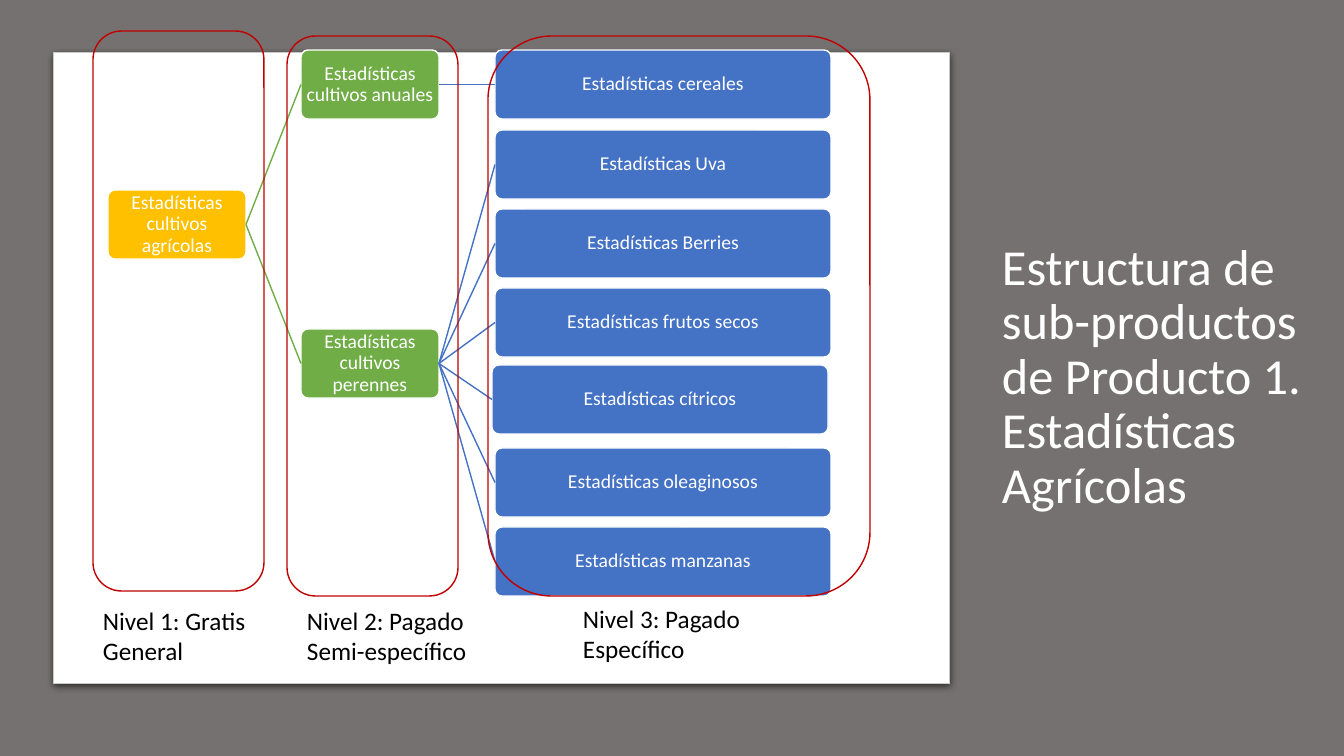
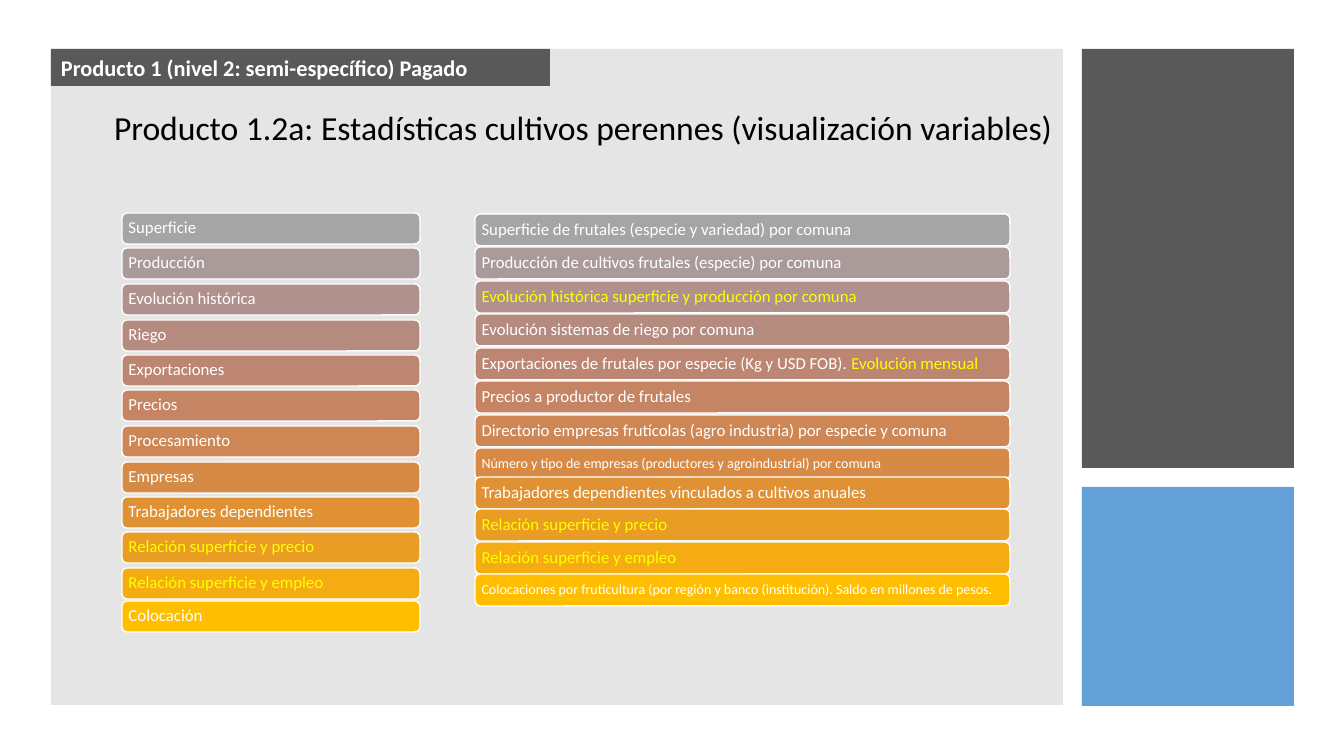
from colorsys import hls_to_rgb
from dataclasses import dataclass
from typing import NamedTuple, Optional

from lxml.etree import SubElement
from pptx import Presentation
from pptx.dml.color import RGBColor
from pptx.enum.shapes import MSO_CONNECTOR, MSO_SHAPE
from pptx.enum.text import MSO_ANCHOR as Anchor, MSO_AUTO_SIZE, PP_ALIGN as Align
from pptx.oxml import parse_xml
from pptx.oxml.ns import nsdecls, qn
from pptx.util import Emu, Pt

EMU_PER_PX = 914400 / 100.8
RIGHT, LEFT = 3, 1  # connection sites


@dataclass(frozen=True)
class Theme:
    font: str = "Calibri"
    white: str = "FFFFFF"
    black: str = "000000"
    backdrop: str = "767171"
    card_edge: str = "C8CACA"
    level1: str = "FFC000"
    level2: str = "70AD47"
    level3: str = "4472C4"
    frame: str = "C00000"
    panel: str = "808080"
    dark: str = "595959"
    blue: str = "5B9BD5"
    highlight: str = "FFFF00"
    title_size: int = 36
    heading_size: int = 24
    caption_size: int = 18
    band_size: int = 16
    node_size: int = 14
    row_size: int = 12
    small_size: int = 10


THEME = Theme()


class Box(NamedTuple):
    x: int
    y: int
    w: int
    h: int


class Level(NamedTuple):
    frame: Box
    caption: Box
    lines: tuple[str, str]


class Row(NamedTuple):
    plain: str = ""
    highlighted: str = ""
    size: int = THEME.row_size


class Column(NamedTuple):
    x: int
    w: int
    h: int
    tops: list[int]
    rows: list[Row]


def px(length: int) -> Emu:
    return Emu(round(length * EMU_PER_PX))


def emu_box(box: Box) -> tuple[Emu, ...]:
    return tuple(px(length) for length in box)


def rgb(color: str) -> RGBColor:
    return RGBColor.from_string(color)


def evenly(first: int, last: int, count: int) -> list[int]:
    return [round(first + (last - first) * i / (count - 1)) for i in range(count)]


def add_block(slide, box: Box, fill: Optional[str], line: Optional[str] = None,
              corner: Optional[float] = None, rounded: bool = True,
              width: float = 1, alpha: int = 100):
    kind = MSO_SHAPE.ROUNDED_RECTANGLE if rounded else MSO_SHAPE.RECTANGLE
    block = slide.shapes.add_shape(kind, *emu_box(box))
    block.shadow.inherit = False
    if corner is not None:
        block.adjustments[0] = corner
    if fill:
        block.fill.solid()
        block.fill.fore_color.rgb = rgb(fill)
        if alpha < 100:
            tint = block.element.spPr.find(f"{qn('a:solidFill')}/{qn('a:srgbClr')}")
            SubElement(tint, qn("a:alpha")).set("val", str(alpha * 1000))
    else:
        block.fill.background()
    if line:
        block.line.color.rgb = rgb(line)
        block.line.width = Pt(width)
    else:
        block.line.fill.background()
    return block


def set_frame(frame, anchor, inset: tuple[int, int] = (10, 5)) -> None:
    frame.word_wrap = True
    frame.auto_size = MSO_AUTO_SIZE.NONE
    frame.vertical_anchor = anchor
    frame.margin_left = frame.margin_right = px(inset[0])
    frame.margin_top = frame.margin_bottom = px(inset[1])


def style(paragraph, size: int, color: str, align=Align.LEFT,
          spacing: float = 1.0, bold: bool = False) -> None:
    paragraph.alignment = align
    paragraph.line_spacing = spacing
    for run in paragraph.runs:
        run.font.name = THEME.font
        run.font.size = Pt(size)
        run.font.bold = bold
        run.font.color.rgb = rgb(color)


def set_title(slide, text: str, box: Box, size: int, color: str, anchor, spacing: float) -> None:
    title = slide.shapes.title
    title.left, title.top, title.width, title.height = emu_box(box)
    title.text_frame.text = text
    set_frame(title.text_frame, anchor)
    style(title.text_frame.paragraphs[0], size, color, spacing=spacing)
    slide.shapes.element.append(title.element)  # bring to front


def add_node(slide, text: str, box: Box, fill: str):
    node = add_block(slide, box, fill, THEME.white, corner=0.1)
    node.text_frame.text = text
    set_frame(node.text_frame, Anchor.MIDDLE, (1, 1))
    style(node.text_frame.paragraphs[0], THEME.node_size, THEME.white, Align.CENTER, 0.9)
    return node


def link(slide, parent, child, color: str) -> None:
    branch = slide.shapes.add_connector(MSO_CONNECTOR.STRAIGHT, 0, 0, 0, 0)
    branch.begin_connect(parent, RIGHT)
    branch.end_connect(child, LEFT)
    branch.line.color.rgb = rgb(color)
    branch.line.width = Pt(1)
    SubElement(branch.element.spPr, qn("a:effectLst"))


def add_level(slide, level: Level) -> None:
    add_block(slide, level.frame, None, THEME.frame)
    caption = slide.shapes.add_textbox(*emu_box(level.caption)).text_frame
    caption.text = "\n".join(level.lines)
    set_frame(caption, Anchor.TOP)
    for paragraph in caption.paragraphs:
        style(paragraph, THEME.caption_size, THEME.black)


def add_card(slide, box: Box) -> None:
    card = add_block(slide, box, THEME.white, THEME.card_edge, corner=0, width=0.75)
    effects = card.element.spPr.find(qn("a:effectLst"))
    effects.append(parse_xml(
        f'<a:outerShdw {nsdecls("a")} blurRad="57150" dist="19050" dir="5400000">'
        f'<a:srgbClr val="{THEME.black}"><a:alpha val="63000"/></a:srgbClr></a:outerShdw>'))


def ramp_color(step: int, last: int) -> str:
    """Grey to amber, by even steps of hue, lightness and saturation."""
    t = step / last
    channels = hls_to_rgb(t * 45 / 360, 0.647 - 0.147 * t, t)
    return "".join(f"{round(c * 255):02X}" for c in channels)


def add_column(slide, column: Column) -> None:
    last = len(column.rows) - 1
    for i, (top, row) in enumerate(zip(column.tops, column.rows)):
        bar = add_block(slide, Box(column.x, top, column.w, column.h),
                        ramp_color(i, last), THEME.white)
        set_frame(bar.text_frame, Anchor.MIDDLE, (5, 4))
        paragraph = bar.text_frame.paragraphs[0]
        paragraph.text = row.plain or row.highlighted
        style(paragraph, row.size, THEME.white if row.plain else THEME.highlight, spacing=0.9)
        if row.plain and row.highlighted:
            tail = paragraph.add_run()
            tail.text = row.highlighted
            style(paragraph, row.size, THEME.white, spacing=0.9)
            tail.font.color.rgb = rgb(THEME.highlight)


# Content of the product tree
ANNUAL_CROPS = ["Estadísticas cereales"]
PERENNIAL_CROPS = ["Estadísticas Uva", "Estadísticas Berries", "Estadísticas frutos secos",
                   "Estadísticas cítricos", "Estadísticas oleaginosos",
                   "Estadísticas manzanas"]
CITRUS = "Estadísticas cítricos"
LEVELS = [
    Level(Box(93, 31, 171, 560), Box(93, 600, 171, 72), ("Nivel 1: Gratis", "General")),
    Level(Box(287, 36, 171, 560), Box(297, 600, 190, 72), ("Nivel 2: Pagado", "Semi-específico")),
    Level(Box(488, 36, 382, 560), Box(573, 598, 190, 72), ("Nivel 3: Pagado", "Específico")),
]

# Content of the variable lists
PRICE = Row(highlighted="Relación superficie y precio")
JOBS = Row(highlighted="Relación superficie y empleo")
VARIABLES = Column(122, 298, 31, evenly(213, 568, 11) + [601], [
    Row("Superficie"), Row("Producción"), Row("Evolución histórica"), Row("Riego"),
    Row("Exportaciones"), Row("Precios"), Row("Procesamiento"), Row("Empresas"),
    Row("Trabajadores dependientes"), PRICE, JOBS, Row("Colocación"),
])
DETAILS = Column(475, 535, 32, evenly(214, 448, 8) + evenly(477, 574, 4), [
    Row("Superficie de frutales (especie y variedad) por comuna"),
    Row("Producción de cultivos frutales (especie) por comuna"),
    Row(highlighted="Evolución histórica superficie y producción por comuna"),
    Row("Evolución sistemas de riego por comuna"),
    Row("Exportaciones de frutales por especie (Kg y USD FOB). ", "Evolución mensual"),
    Row("Precios a productor de frutales"),
    Row("Directorio empresas frutícolas (agro industria) por especie y comuna"),
    Row("Número y tipo de empresas (productores y agroindustrial) por comuna",
        size=THEME.small_size),
    Row("Trabajadores dependientes vinculados a cultivos anuales"), PRICE, JOBS,
    Row("Colocaciones por fruticultura (por región y banco (institución). "
        "Saldo en millones de pesos.", size=THEME.small_size),
])


def build_tree(slide) -> None:
    slide.background.fill.solid()
    slide.background.fill.fore_color.rgb = rgb(THEME.backdrop)
    add_card(slide, Box(54, 53, 896, 631))

    # Three levels of nodes
    root = add_node(slide, "Estadísticas cultivos agrícolas",
                    Box(108, 190, 138, 69), THEME.level1)
    annual = add_node(slide, "Estadísticas cultivos anuales",
                      Box(301, 50, 138, 69), THEME.level2)
    perennial = add_node(slide, "Estadísticas cultivos perennes",
                         Box(301, 329, 138, 69), THEME.level2)
    for branch in (annual, perennial):
        link(slide, root, branch, THEME.level2)
    crops = ANNUAL_CROPS + PERENNIAL_CROPS
    for crop, top in zip(crops, evenly(50, 527, len(crops))):
        nudge = 3 if crop == CITRUS else 0
        leaf = add_node(slide, crop, Box(495 - nudge, top - nudge, 336, 69), THEME.level3)
        link(slide, annual if crop in ANNUAL_CROPS else perennial, leaf, THEME.level3)

    # Level frames and captions
    for level in LEVELS:
        add_level(slide, level)
    set_title(slide, "Estructura de sub-productos de Producto 1. Estadísticas Agrícolas",
              Box(992, 114, 326, 528), THEME.title_size, THEME.white, Anchor.MIDDLE, 0.9)


def build_variables(slide) -> None:
    # Panels
    add_block(slide, Box(51, 49, 1012, 656), THEME.panel, rounded=False, alpha=20)
    add_block(slide, Box(1082, 49, 212, 419), THEME.dark, rounded=False)
    add_block(slide, Box(1082, 487, 212, 219), THEME.blue, rounded=False, alpha=95)

    # Variable lists
    for column in (DETAILS, VARIABLES):
        add_column(slide, column)

    # Heading and band
    set_title(slide, "Producto 1.2a: Estadísticas cultivos perennes (visualización variables)",
              Box(104, 102, 960, 50), THEME.heading_size, THEME.black, Anchor.TOP, 1.0)
    band = add_block(slide, Box(51, 49, 499, 37), THEME.dark, rounded=False)
    band.text_frame.text = "Producto 1 (nivel 2: semi-específico) Pagado"
    set_frame(band.text_frame, Anchor.MIDDLE)
    style(band.text_frame.paragraphs[0], THEME.band_size, THEME.white, bold=True)


def main() -> None:
    deck = Presentation()
    deck.slide_width, deck.slide_height = px(1344), px(756)
    title_only = deck.slide_layouts[5]
    for build in (build_tree, build_variables):
        build(deck.slides.add_slide(title_only))
    deck.save("out.pptx")


if __name__ == "__main__":
    main()
